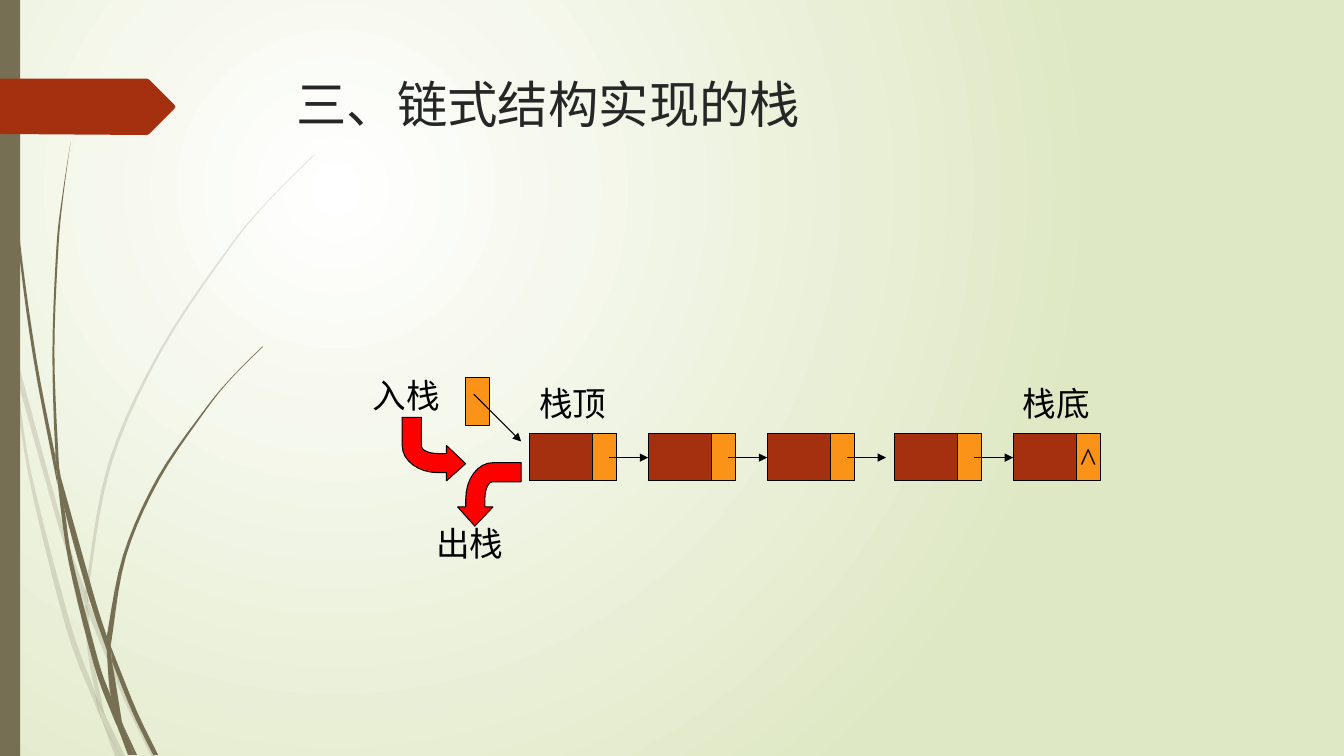
from lxml import etree
from pptx import Presentation
from pptx.dml.color import RGBColor as RGB
from pptx.enum.shapes import MSO_CONNECTOR as Link, MSO_SHAPE as Shape
from pptx.oxml.ns import qn
from pptx.util import Cm, Pt

OLIVE = RGB(0x76, 0x6F, 0x54)
RUST = RGB(0xA5, 0x30, 0x10)
AMBER = RGB(0xFB, 0x93, 0x18)
RED = RGB(0xFF, 0x00, 0x00)
BLACK = RGB(0x00, 0x00, 0x00)
INK = RGB(0x26, 0x26, 0x26)
WHITE = RGB(0xFF, 0xFF, 0xFF)
MOSS = RGB(0xDF, 0xE8, 0xC4)

# Grass blades: each has two edges, which are smooth curves (inches)
FAINT = [
    ([(0, 2.82), (.09, 3.22), (.11, 3.5)], [(.1, 3.44), (0, 2.99)]),
    ([(.14, 3.45), (.62, 5.2), (.85, 5.86)],
     [(.84, 5.99), (.58, 5.22), (.17, 3.76)]),
    ([(.88, 5.96), (.92, 6.07), (1.27, 6.92), (1.55, 7.5)],
     [(1.5, 7.5), (1.23, 6.94), (.88, 6.1)]),
    ([(1.05, 7.11), (1.24, 7.5)], [(1.19, 7.5), (1.05, 7.11)]),
    ([(.11, 3.5), (.17, 3.76), (.31, 4.69), (.7, 6.19), (.93, 6.83), (.99, 7.07)],
     [(1.01, 7.14), (.92, 6.93), (.65, 6.21), (.28, 4.7), (.11, 3.5)]),
    ([(.84, 5.99), (.88, 6.08), (.91, 6.46), (1.03, 7.06)],
     [(1.05, 7.11), (.96, 6.92), (.87, 6.46), (.84, 5.99)]),
    ([(.88, 5.96), (.88, 5.84), (1.1, 4.62), (1.6, 3.49), (2.29, 2.45),
      (2.68, 1.98), (3.12, 1.54)],
     [(3.12, 1.53), (2.68, 1.97), (2.28, 2.44), (1.58, 3.48), (1.07, 4.61),
      (.85, 5.84), (.85, 5.86)]),
    ([(1.01, 7.14), (1.19, 7.5)], [(1.14, 7.5), (1.01, 7.14)]),
    ([(.84, 5.99), (.85, 5.86), (.88, 5.96)], [(.88, 6.1), (.84, 5.99)]),
    ([(.93, 6.83), (.96, 6.92), (1.05, 7.11), (1.19, 7.5)],
     [(1.19, 7.5), (1.01, 7.14), (.93, 6.83)]),
]
DARK = [
    ([(.03, 0), (.04, .48), (.07, 1.1), (.17, 2.33), (.33, 3.55), (.57, 4.81)],
     [(.55, 4.53), (.36, 3.55), (.19, 2.32), (.08, 1.09), (.05, .48), (.04, 0)]),
    ([(.6, 4.72), (.93, 5.9), (1.06, 6.31)],
     [(1.06, 6.45), (.88, 5.92), (.64, 5.05), (.6, 4.72)]),
    ([(1.1, 6.41), (1.13, 6.49), (1.36, 7.06), (1.57, 7.49)],
     [(1.52, 7.49), (1.32, 7.08), (1.11, 6.56)]),
    ([(.57, 4.77), (.64, 5.05), (.72, 5.56), (.98, 6.57), (1.1, 6.91), (1.16, 7.17)],
     [(1.17, 7.22), (1.11, 7.08), (.93, 6.59), (.68, 5.57), (.57, 4.77)]),
    ([(.6, 4.72), (.58, 4.53), (.54, 3.49), (.58, 2.45), (.63, 1.93), (.7, 1.41)],
     [(.7, 1.41), (.62, 1.93), (.56, 2.45), (.52, 3.49), (.55, 4.49), (.6, 4.72)]),
    ([(1.22, 7.19), (1.36, 7.49)], [(1.33, 7.49), (1.22, 7.19)]),
    ([(.55, 4.49), (.6, 4.72), (.64, 5.05)], [(.64, 5.05), (.57, 4.77), (.55, 4.53)]),
    ([(1.1, 6.41), (1.11, 6.33), (1.25, 5.52), (1.58, 4.76), (2.05, 4.06),
      (2.31, 3.74), (2.61, 3.44)],
     [(2.6, 3.44), (2.31, 3.73), (2.04, 4.05), (1.56, 4.74), (1.22, 5.51),
      (1.06, 6.31)]),
    ([(1.17, 7.22), (1.31, 7.49)], [(1.27, 7.49), (1.17, 7.22)]),
    ([(1.06, 6.45), (1.11, 6.56), (1.21, 7.16)],
     [(1.22, 7.19), (1.1, 6.91), (1.06, 6.45)]),
    ([(1.06, 6.45), (1.06, 6.31), (1.1, 6.41)], [(1.11, 6.56), (1.06, 6.45)]),
    ([(1.1, 6.91), (1.16, 7.06), (1.22, 7.19), (1.33, 7.49)],
     [(1.3, 7.49), (1.17, 7.22), (1.1, 6.91)]),
]
TAG = [(0, .78), (1.46, .78), (1.48, .79), (1.73, 1.04), (1.74, 1.06),
       (1.73, 1.08), (1.48, 1.33), (1.46, 1.34), (0, 1.33)]

TOP, HIGH, MID = 4.3, .47, 4.54
DATA, NEXT = .63, .24
NODES = [5.25, 6.43, 7.61, 8.87, 10.05]


def inch(val):
    return Cm(val * 2.54)


def smooth(pts, steps=5):
    """Run a Catmull-Rom curve through the points."""
    out = [pts[0]]
    ends = [pts[0], *pts, pts[-1]]
    for a, b, c, d in zip(ends, ends[1:], ends[2:], ends[3:]):
        for i in range(1, steps + 1):
            t = i / steps
            out.append(tuple(
                q + t * (r - p) / 2 + t * t * (2 * p - 5 * q + 4 * r - s) / 2
                + t ** 3 * (3 * q - p - 3 * r + s) / 2
                for p, q, r, s in zip(a, b, c, d)))
    return out


def bend(a, b, c, d, steps=8):
    """Sample a cubic curve with two handles."""
    return [tuple((1 - t) ** 3 * p + 3 * (1 - t) ** 2 * t * q
                  + 3 * (1 - t) * t * t * r + t ** 3 * s
                  for p, q, r, s in zip(a, b, c, d))
            for t in (i / steps for i in range(steps + 1))]


def paint(shape, fill, edge=None):
    shape.shadow.inherit = False
    shape.fill.solid()
    shape.fill.fore_color.rgb = fill
    if edge is None:
        shape.line.fill.background()
    else:
        shape.line.color.rgb = edge
        shape.line.width = Pt(.75)


def form(slide, pts, fill, edge=None):
    pts = [(inch(x), inch(y)) for x, y in pts]
    pen = slide.shapes.build_freeform(*pts[0], scale=1.0)
    pen.add_line_segments(pts[1:], close=True)
    shape = pen.convert_to_shape()
    paint(shape, fill, edge)
    return shape


def fade(shape, part):
    tint = shape.fill._xPr.find(qn("a:solidFill"))[0]
    etree.SubElement(tint, qn("a:alpha"), val=str(part * 1000))


def box(slide, x, y, wide, high, fill, edge=BLACK):
    shape = slide.shapes.add_shape(Shape.RECTANGLE, inch(x), inch(y), inch(wide), inch(high))
    paint(shape, fill, edge)


def arrow(slide, x1, y1, x2, y2):
    link = slide.shapes.add_connector(Link.STRAIGHT, inch(x1), inch(y1), inch(x2), inch(y2))
    link.line.color.rgb = BLACK
    link.line.width = Pt(.75)
    etree.SubElement(link.line._get_or_add_ln(), qn("a:tailEnd"), type="triangle")
    etree.SubElement(link._element.spPr, qn("a:effectLst"))


def label(slide, text, x, y, wide=.87, high=.5, size=24,
          face="Times New Roman", tint=BLACK, wrap=False):
    frame = slide.shapes.add_textbox(inch(x), inch(y), inch(wide), inch(high)).text_frame
    frame.word_wrap = wrap
    para = frame.paragraphs[0]
    para.text = text
    para.font.size, para.font.name = Pt(size), face
    para.font.color.rgb = tint


def turn(slide, x, y, angle=0):
    """Draw a bent block arrow that goes down, then right."""
    outer = bend((.36, .55), (.16, .55), (0, .43), (0, .28))
    inner = bend((.19, .28), (.19, .33), (.27, .36), (.36, .36))
    pts = [(.63, .46), (.44, .63), (.44, .55), *outer, (0, 0), (.19, 0),
           *inner, (.44, .36), (.44, .28)]
    shape = form(slide, [(x + dx, y + dy) for dx, dy in pts], RED, BLACK)
    shape.rotation = angle


def glow(slide):
    fill = slide.background.fill
    fill.gradient()
    for stop, tint in zip(fill.gradient_stops, (WHITE, MOSS)):
        stop.color.rgb = tint
    grad = slide._element.find(".//" + qn("a:gradFill"))
    grad.remove(grad.find(qn("a:lin")))
    ring = etree.SubElement(grad, qn("a:path"), path="circle")
    etree.SubElement(ring, qn("a:fillToRect"), l="50000", t="50000", r="100000", b="100000")


def main():
    deck = Presentation()
    deck.slide_width, deck.slide_height = inch(13.333), inch(7.5)
    slide = deck.slides.add_slide(deck.slide_layouts[6])

    # Backdrop
    glow(slide)
    for blades, part in ((FAINT, 20), (DARK, 100)):
        for out, back in blades:
            blade = form(slide, smooth(out) + smooth(back), OLIVE)
            if part < 100:
                fade(blade, part)
    box(slide, 0, 0, .2, 7.5, OLIVE, None)
    form(slide, TAG, RUST)

    # Title
    label(slide, "三、链式结构实现的栈", 2.84, .68, 9.75, 1.4, 36, "League Spartan", INK, True)

    # Linked nodes
    for x in NODES:
        box(slide, x, TOP, DATA, HIGH, RUST)
        box(slide, x + DATA, TOP, NEXT, HIGH, AMBER)
    for x in NODES[:-1]:
        arrow(slide, x + .79, MID, x + 1.18, MID)
    label(slide, "^", 10.62, TOP, .36)

    # Top pointer
    box(slide, 4.62, 3.75, NEXT, HIGH, AMBER)
    arrow(slide, 4.7, 3.91, 5.17, 4.38)

    # Push and pop
    turn(slide, 4.54, 4.59, 90)
    turn(slide, 3.99, 4.14)
    for text, x, y in (("栈顶", NODES[0], 3.75), ("栈底", NODES[-1], 3.75),
                       ("出栈", 4.23, 5.14), ("入栈", 3.6, 3.67)):
        label(slide, text, x, y)

    deck.save("out.pptx")


if __name__ == "__main__":
    main()
